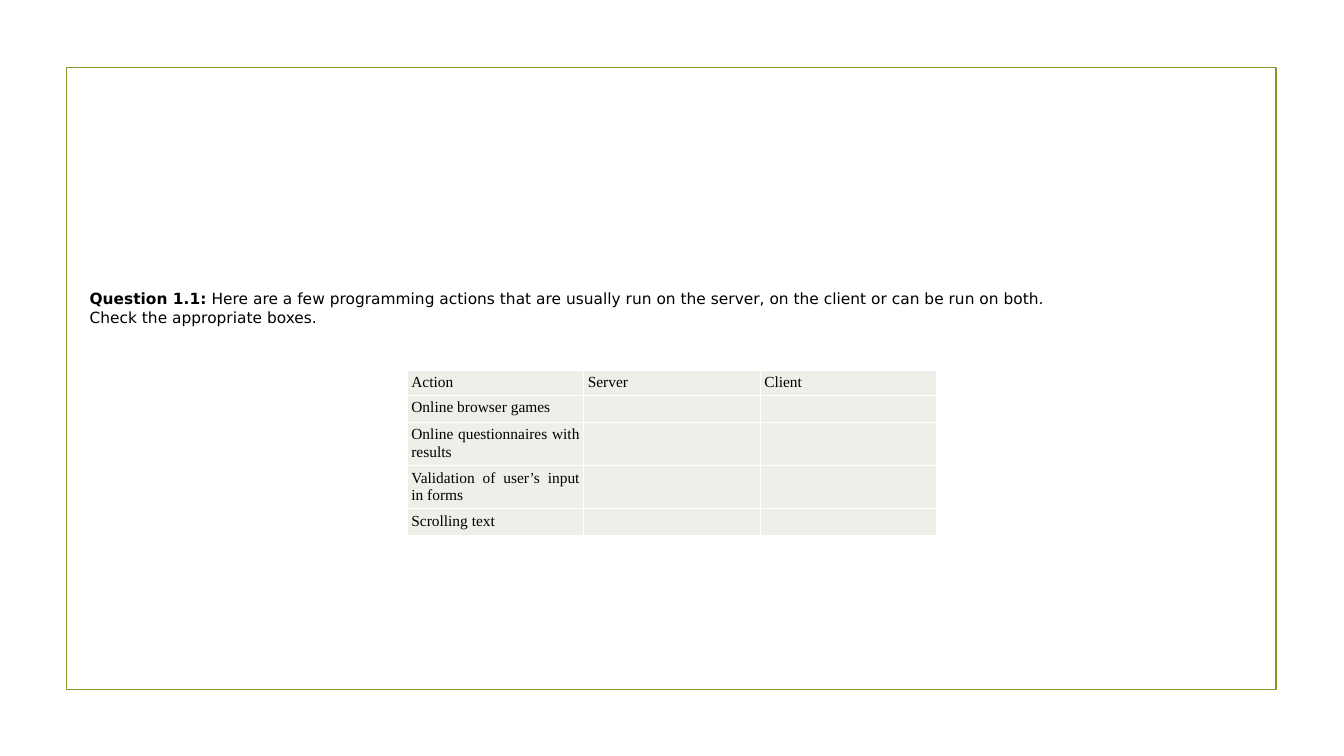
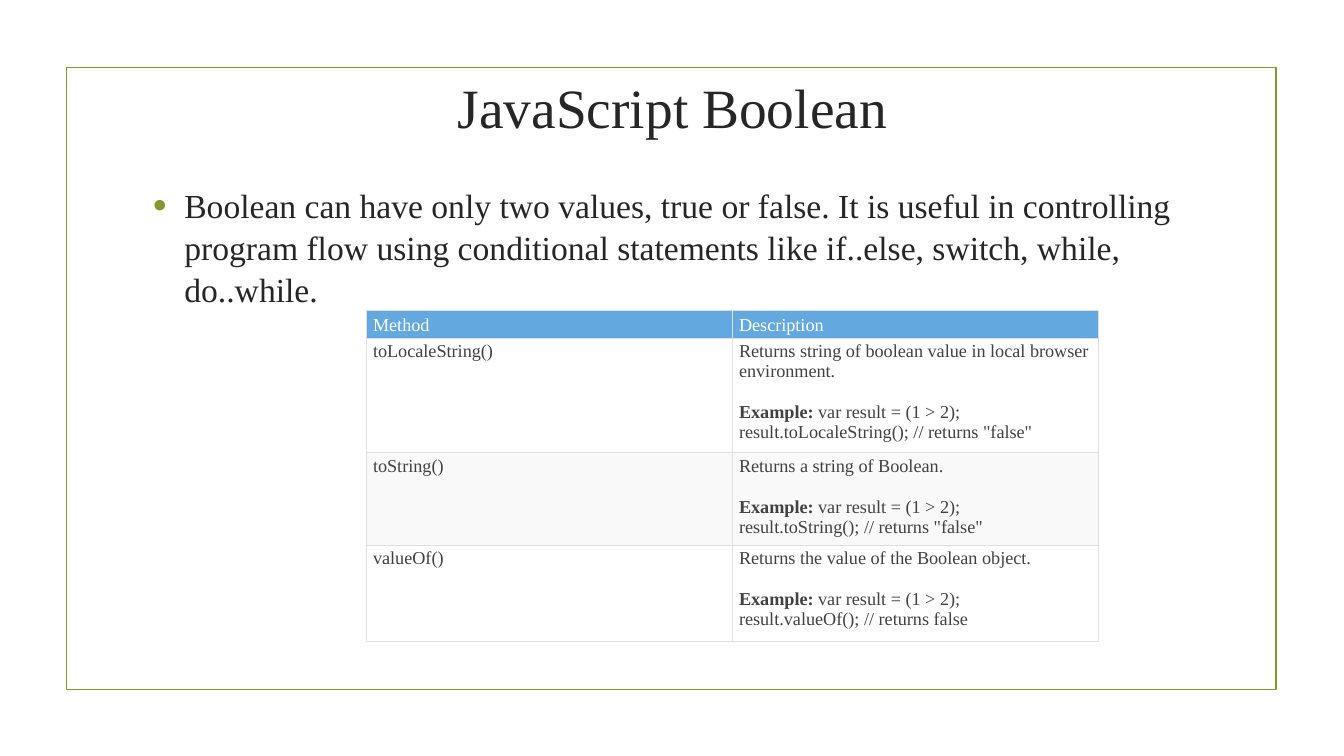
from lxml import etree
from pptx import Presentation
from pptx.dml.color import RGBColor
from pptx.enum.shapes import MSO_SHAPE
from pptx.enum.text import MSO_ANCHOR, MSO_AUTO_SIZE, PP_ALIGN
from pptx.oxml.ns import qn
from pptx.util import Inches, Pt

RECTANGLE = MSO_SHAPE.RECTANGLE
TOP, MIDDLE, BOTTOM = MSO_ANCHOR.TOP, MSO_ANCHOR.MIDDLE, MSO_ANCHOR.BOTTOM
NO_AUTOFIT = MSO_AUTO_SIZE.NONE
LEFT, CENTER, JUSTIFY = PP_ALIGN.LEFT, PP_ALIGN.CENTER, PP_ALIGN.JUSTIFY
TITLE_ONLY, BLANK = 5, 6

SERIF, SANS = "Times New Roman", "DejaVu Sans"
GREEN, INK, BLACK, WHITE = "83992A", "262626", "000000", "FFFFFF"
SAGE, BLUE, PALE, GRAY, SILVER = "EDEFE8", "63A9E0", "F9F9F9", "414141", "DFDFDF"


def color(value):
    return RGBColor.from_string(value)


def write(paragraph, text, font=SERIF, size=13, ink=BLACK, align=LEFT):
    paragraph.alignment = align
    runs = [(text, False)] if isinstance(text, str) else text
    for words, bold in runs:
        for index, line in enumerate(words.split("\v")):
            if index:
                paragraph.add_line_break()
            run = paragraph.add_run()
            run.text = line
            run.font.name = font
            run.font.size = Pt(size)
            run.font.bold = bold
            run.font.color.rgb = color(ink)


def add_bullet(paragraph, indent):
    properties = paragraph._p.get_or_add_pPr()
    properties.set("marL", str(Inches(indent)))
    properties.set("indent", str(-Inches(indent)))
    bullet_color = etree.SubElement(properties, qn("a:buClr"))
    etree.SubElement(bullet_color, qn("a:srgbClr"), val=GREEN)
    etree.SubElement(properties, qn("a:buSzPct"), val="115000")
    etree.SubElement(properties, qn("a:buFont"), typeface="Arial")
    etree.SubElement(properties, qn("a:buChar"), char="•")


def add_borders(cell, line_color, width):
    properties = cell._tc.get_or_add_tcPr()
    for side in ("lnL", "lnR", "lnT", "lnB"):
        line = etree.SubElement(properties, qn(f"a:{side}"), w=str(Pt(width)))
        fill = etree.SubElement(line, qn("a:solidFill"))
        etree.SubElement(fill, qn("a:srgbClr"), val=line_color)


class Deck:
    def __init__(self):
        self.presentation = Presentation()
        self.presentation.slide_width = Inches(13.33)
        self.presentation.slide_height = Inches(7.5)
        self.slide = None

    def add_slide(self, title=None):
        layout = self.presentation.slide_layouts[TITLE_ONLY if title else BLANK]
        self.slide = self.presentation.slides.add_slide(layout)
        self.add_frame()
        if title:
            self.set_title(title)

    def add_frame(self):
        frame = self.slide.shapes.add_shape(
            RECTANGLE, Inches(0.66), Inches(0.67), Inches(12), Inches(6.17))
        frame.shadow.inherit = False
        frame.fill.background()
        frame.line.color.rgb = color(GREEN)
        frame.line.width = Pt(1.25)

    def set_title(self, text):
        title = self.slide.shapes.title
        title.left, title.top = Inches(1.42), Inches(0.78)
        title.width, title.height = Inches(10.5), Inches(0.55)
        title.text_frame.auto_size = NO_AUTOFIT
        title.text_frame.vertical_anchor = MIDDLE
        write(title.text_frame.paragraphs[0], text, size=39.6, ink=INK, align=CENTER)

    def add_text(self, box, paragraphs, bullet_indent=None, line_spacing=None, **style):
        shape = self.slide.shapes.add_textbox(*map(Inches, box))
        frame = shape.text_frame
        frame.word_wrap = True
        for index, text in enumerate(paragraphs):
            paragraph = frame.add_paragraph() if index else frame.paragraphs[0]
            write(paragraph, text, **style)
            if line_spacing:
                paragraph.line_spacing = line_spacing
            if bullet_indent:
                add_bullet(paragraph, bullet_indent)

    def add_table(self, corner, column_width, heights, rows, fills, border, margins,
                  header_ink, size, ink, align=LEFT):
        columns = len(rows[0])
        shape = self.slide.shapes.add_table(
            len(rows), columns, *map(Inches, corner),
            Inches(column_width * columns), Inches(sum(heights)))
        table = shape.table
        table.first_row = table.horz_banding = False
        for column in table.columns:
            column.width = Inches(column_width)
        for row_index, (height, texts) in enumerate(zip(heights, rows)):
            table.rows[row_index].height = Inches(height)
            header = row_index == 0
            for column_index, content in enumerate(texts):
                cell = table.cell(row_index, column_index)
                add_borders(cell, *border)
                cell.fill.solid()
                cell.fill.fore_color.rgb = color(fills[row_index])
                cell.margin_left = cell.margin_right = Inches(margins[0])
                cell.margin_top = cell.margin_bottom = Inches(margins[1])
                cell.vertical_anchor = BOTTOM if header else TOP
                self.fill_cell(cell, content, size=size, align=align,
                               ink=header_ink if header else ink)

    def fill_cell(self, cell, content, size, **style):
        frame = cell.text_frame
        if not content:
            etree.SubElement(frame.paragraphs[0]._p, qn("a:endParaRPr"),
                             sz=str(size * 100))
            return
        paragraphs = [content] if isinstance(content, str) else content
        for index, text in enumerate(paragraphs):
            paragraph = frame.add_paragraph() if index else frame.paragraphs[0]
            if index:
                paragraph.space_before = Pt(15)
            write(paragraph, text, size=size, **style)


def described(description, call):
    return [description, [("Example:", True), (f" var result = (1 > 2);\v{call}", False)]]


def main():
    deck = Deck()

    deck.add_slide()
    actions = ["Online browser games", "Online questionnaires with results",
               "Validation of user’s input in forms", "Scrolling text"]
    deck.add_table(
        (4.04, 3.67), 1.75, [0.25, 0.25, 0.43, 0.43, 0.25],
        [["Action", "Server", "Client"]] + [[action, "", ""] for action in actions],
        fills=[SAGE] * 5, border=(WHITE, 1), margins=(0.04, 0.04),
        header_ink=BLACK, size=11, ink=BLACK, align=JUSTIFY)
    deck.add_text(
        (0.79, 2.82, 9.89, 0.77),
        [[("Question 1.1:", True),
          (" Here are a few programming actions that are usually run on the server, "
           "on the client or can be run on both.", False)],
         "Check the appropriate boxes."],
        font=SANS, size=11)

    deck.add_slide("JavaScript Boolean")
    deck.add_text(
        (1.42, 1.77, 10.5, 1.3),
        ["Boolean can have only two values, true or false. It is useful in controlling "
         "program flow using conditional statements like if..else, switch, while, "
         "do..while."],
        bullet_indent=0.31, line_spacing=1.04, size=24, ink=INK)
    deck.add_table(
        (3.63, 3.08), 3.63, [0.27, 1.13, 0.87, 0.95],
        [["Method", "Description"],
         ["toLocaleString()",
          described("Returns string of boolean value in local browser environment.",
                    'result.toLocaleString(); // returns "false"')],
         ["toString()",
          described("Returns a string of Boolean.",
                    'result.toString(); // returns "false"')],
         ["valueOf()",
          described("Returns the value of the Boolean object.",
                    "result.valueOf(); // returns false")]],
        fills=[BLUE, WHITE, PALE, WHITE], border=(SILVER, 0.75), margins=(0.07, 0.03),
        header_ink=WHITE, size=13, ink=GRAY)

    deck.presentation.save("out.pptx")


if __name__ == "__main__":
    main()
